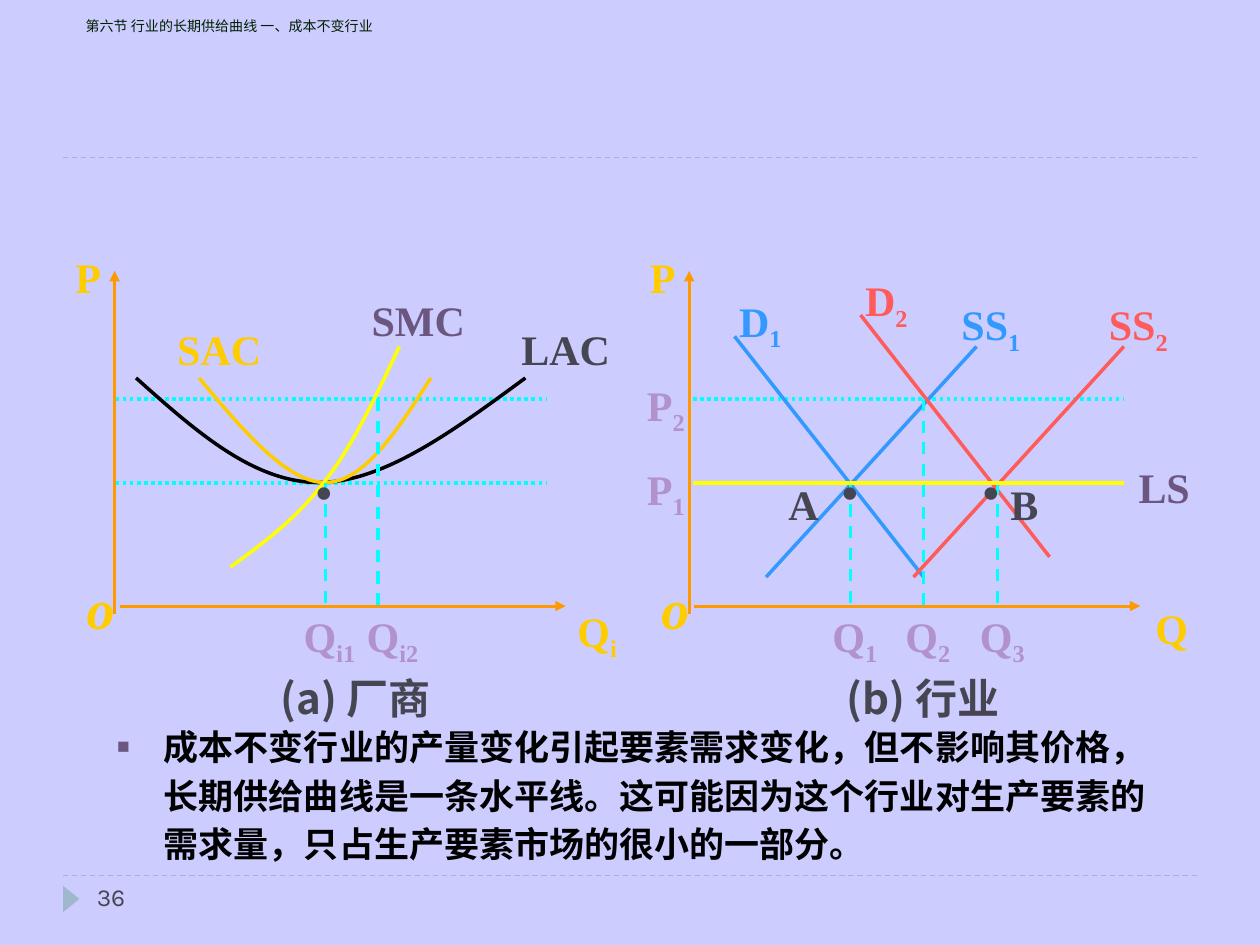
from dataclasses import dataclass

from lxml.etree import SubElement
from pptx import Presentation
from pptx.dml.color import RGBColor
from pptx.enum.dml import MSO_LINE
from pptx.enum.shapes import MSO_CONNECTOR, MSO_SHAPE
from pptx.enum.text import MSO_ANCHOR, MSO_AUTO_SIZE, PP_ALIGN
from pptx.oxml.ns import qn
from pptx.util import Inches, Pt


@dataclass(frozen=True)
class Theme:
    background: str = "CCCCFF"
    rule: str = "9FB8CD"
    title: str = "001E00"
    black: str = "000000"
    dark: str = "464653"
    plum: str = "6B5680"
    lilac: str = "B292CA"
    gold: str = "FFCC00"
    yellow: str = "FFFF00"
    orange: str = "FF9900"
    cyan: str = "00FFFF"
    blue: str = "3399FF"
    red: str = "FF5B5B"
    serif: str = "Times New Roman"
    sans: str = "Karla"
    chinese: str = "Noto Sans CJK SC"
    caption: str = "Noto Sans CJK KR"
    title_size: int = 8
    number_size: int = 14
    body_size: int = 20
    label_size: int = 24
    origin_size: int = 32
    dot_size: int = 44


THEME = Theme()
LABEL_INSETS = (0.28, 0, 0.04, 0.17)
PLAIN_INSETS = (0.1, 0.05, 0.1, 0.05)
LOW_PRICE, HIGH_PRICE, BASE = 23 / 6, 19 / 6, 29 / 6


def write(box, text, size=THEME.label_size, color=THEME.dark, font=THEME.serif,
          asian=None, bold=True, italic=False, align=PP_ALIGN.LEFT, spacing=1.0,
          insets=PLAIN_INSETS, anchor=MSO_ANCHOR.TOP, wrap=True):
    """Fill a box with one paragraph; what follows an underscore is a subscript."""
    frame = box.text_frame
    frame.auto_size = MSO_AUTO_SIZE.NONE
    frame.word_wrap = wrap
    frame.vertical_anchor = anchor
    (frame.margin_left, frame.margin_top,
     frame.margin_right, frame.margin_bottom) = map(Inches, insets)
    para = frame.paragraphs[0]
    para.alignment = align
    para.line_spacing = spacing
    para.space_before = Pt(0)
    for index, part in enumerate(text.split("_")):
        span = para.add_run()
        span.text = part
        span.font.size = Pt(size)
        span.font.bold = bold
        span.font.italic = italic
        span.font.name = font
        span.font.color.rgb = RGBColor.from_string(color)
        properties = span._r.get_or_add_rPr()
        SubElement(properties, qn("a:ea")).set("typeface", asian or font)
        if index:
            properties.set("baseline", "-25000")
    return para


def place(shape, left, top, width, height):
    shape.left, shape.top = Inches(left), Inches(top)
    shape.width, shape.height = Inches(width), Inches(height)


def add_text(slide, text, left, top, width, height, **style):
    box = slide.shapes.add_textbox(*map(Inches, (left, top, width, height)))
    write(box, text, **style)


def add_label(slide, text, left, top, width=1.33, height=0.81, **style):
    add_text(slide, text, left, top, width, height, align=PP_ALIGN.CENTER,
             spacing=1.4, insets=LABEL_INSETS, **style)


def add_line(slide, start, end, color, width=2, dash=None, arrow=False):
    line = slide.shapes.add_connector(MSO_CONNECTOR.STRAIGHT,
                                      *map(Inches, (*start, *end)))
    line.line.color.rgb = RGBColor.from_string(color)
    line.line.width = Pt(width)
    if dash:
        line.line.dash_style = dash
    if arrow:
        SubElement(line.line._get_or_add_ln(), qn("a:tailEnd")).set("type", "triangle")
    SubElement(line._element.spPr, qn("a:effectLst"))


def add_curve(slide, color, *knots):
    """Draw joined cubic curves; each takes three knots after the shared one."""
    points = [(Inches(x), Inches(y)) for x, y in knots]
    builder = slide.shapes.build_freeform(*points[0])
    builder.add_line_segments(points[1:], close=False)
    curve = builder.convert_to_shape()
    outline = next(curve._element.iter(qn("a:path")))
    segments = outline.findall(qn("a:lnTo"))
    for first in range(0, len(segments), 3):
        cubic = SubElement(outline, qn("a:cubicBezTo"))
        for segment in segments[first:first + 3]:
            cubic.append(segment[0])
            outline.remove(segment)
    curve.fill.background()
    curve.line.color.rgb = RGBColor.from_string(color)
    curve.line.width = Pt(2)
    curve.shadow.inherit = False


def add_axes(slide, left, length, quantity, quantity_left):
    add_line(slide, (left + 0.04, 4.81), (left + 0.04 + length, 4.81),
             THEME.orange, 1.75, arrow=True)
    add_line(slide, (left, 4.87), (left, 2.15), THEME.orange, 1.75, arrow=True)
    add_label(slide, "o", left - 0.5, 4.34, 0.54, 0.92, size=THEME.origin_size,
              color=THEME.gold, italic=True, wrap=False)
    add_label(slide, "P", left - 0.59, 1.84, 0.52, 0.73, color=THEME.gold, wrap=False)
    add_label(slide, quantity, quantity_left, 4.62, 0.6, color=THEME.gold, wrap=False)


def add_price_lines(slide, left, right):
    for price in (LOW_PRICE, HIGH_PRICE):
        add_line(slide, (left, price), (right, price), THEME.cyan,
                 dash=MSO_LINE.ROUND_DOT)


def add_quantity(slide, text, x, price, label_left):
    add_line(slide, (x, price), (x, BASE), THEME.cyan, 1.75, MSO_LINE.DASH)
    add_label(slide, text, label_left, 4.66, color=THEME.lilac)


def add_dot(slide, left):
    add_label(slide, "·", left, 3.22, 0.47, 1.2, size=THEME.dot_size)


def add_caption(slide, text, left):
    add_label(slide, text, left, 5.18, 2.75, 0.73, font=THEME.caption)


def add_frame(slide):
    """Rules, page marker and page number."""
    for y in (1.25, 6.95):
        add_line(slide, (0.5, y), (9.5, y), THEME.rule, 0.75, MSO_LINE.DASH)
    marker = slide.shapes.add_shape(MSO_SHAPE.ISOSCELES_TRIANGLE,
                                    *map(Inches, (0.46, 7.07, 0.21, 0.13)))
    marker.rotation = 90
    marker.fill.solid()
    marker.fill.fore_color.rgb = RGBColor.from_string(THEME.rule)
    marker.line.fill.background()
    marker.shadow.inherit = False
    add_text(slide, "36", 0.67, 6.95, 2.17, 0.4, size=THEME.number_size,
             font=THEME.sans, bold=False)


def fill_placeholders(slide):
    title, body = slide.shapes.title, slide.placeholders[1]
    place(title, 0.58, 0.08, 8.83, 0.25)
    write(title, "第六节 行业的长期供给曲线 一、成本不变行业", size=THEME.title_size,
          color=THEME.title, font=THEME.chinese, bold=False, anchor=MSO_ANCHOR.MIDDLE)
    place(body, 0.83, 5.66, 8.58, 1.42)
    para = write(body, "成本不变行业的产量变化引起要素需求变化，但不影响其价格，"
                 "长期供给曲线是一条水平线。这可能因为这个行业对生产要素的需求量，"
                 "只占生产要素市场的很小的一部分。", size=THEME.body_size,
                 color=THEME.black, font=THEME.sans, asian=THEME.chinese, spacing=1.15)
    properties = para._p.get_or_add_pPr()
    properties.set("marL", str(Inches(0.37)))
    properties.set("indent", str(-Inches(0.37)))
    bullet_color = SubElement(properties, qn("a:buClr"))
    SubElement(bullet_color, qn("a:srgbClr")).set("val", THEME.plum)
    SubElement(properties, qn("a:buSzPct")).set("val", "60000")
    SubElement(properties, qn("a:buChar")).set("char", "■")


def add_firm(slide):
    add_axes(slide, 0.91, 3.54, "Q_i", 4.32)
    add_price_lines(slide, 0.92, 4.34)
    add_curve(slide, THEME.black, (1.08, 3), (1.55, 3.42), (2.01, 3.83), (2.53, 3.83),
              (3.04, 3.83), (3.6, 3.42), (4.17, 3))
    add_curve(slide, THEME.gold, (1.58, 3), (1.93, 3.42), (2.28, 3.83), (2.58, 3.83),
              (2.89, 3.83), (3.15, 3.42), (3.42, 3))
    add_curve(slide, THEME.yellow, (1.83, 4.5), (2.09, 4.31), (2.35, 4.12), (2.57, 3.83),
              (2.8, 3.54), (2.98, 3.15), (3.17, 2.75))
    for text, left, top, color in (("LAC", 3.83, 2.41, THEME.dark),
                                   ("SAC", 1.08, 2.41, THEME.gold),
                                   ("SMC", 2.66, 2.18, THEME.plum)):
        add_label(slide, text, left, top, 1.08, 0.73, color=color)
    add_quantity(slide, "Q_i1", 2.58, LOW_PRICE, 1.83)
    add_quantity(slide, "Q_i2", 3, HIGH_PRICE, 2.33)
    add_dot(slide, 2.19)
    add_caption(slide, "(a) 厂商", 1.33)


def add_industry(slide):
    add_axes(slide, 5.47, 3.54, "Q", 8.88)
    add_price_lines(slide, 5.5, 8.92)
    for text, start, end, color, left, top in (
            ("D_1", (5.83, 2.67), (7.33, 4.58), THEME.blue, 5.25, 2.16),
            ("SS_1", (6.08, 4.58), (7.75, 2.75), THEME.blue, 7.08, 2.19),
            ("D_2", (6.83, 2.5), (8.33, 4.42), THEME.red, 6.25, 2),
            ("SS_2", (7.25, 4.58), (8.92, 2.75), THEME.red, 8.25, 2.19)):
        add_line(slide, start, end, color)
        add_label(slide, text, left, top, color=color)
    for text, price in (("P_1", LOW_PRICE), ("P_2", HIGH_PRICE)):
        add_label(slide, text, 4.5, price - 0.34, color=THEME.lilac)
    for text, x, price in (("Q_1", 6.75, LOW_PRICE), ("Q_2", 7.33, HIGH_PRICE),
                           ("Q_3", 7.92, LOW_PRICE)):
        add_quantity(slide, text, x, price, x - 0.75)
    for text, left, dot_left in (("A", 6.16, 6.37), ("B", 7.92, 7.49)):
        add_text(slide, text, left, 3.75, 0.43, 0.5, wrap=False)
        add_dot(slide, dot_left)
    add_line(slide, (5.5, LOW_PRICE), (8.92, LOW_PRICE), THEME.yellow)
    add_label(slide, "LS", 8.58, 3.5, 1.08, 0.73, color=THEME.plum)
    add_caption(slide, "(b) 行业", 5.83)


def main():
    deck = Presentation()
    deck.slide_width, deck.slide_height = Inches(10), Inches(7.5)
    page = deck.slides.add_slide(deck.slide_layouts[1])
    page.background.fill.solid()
    page.background.fill.fore_color.rgb = RGBColor.from_string(THEME.background)
    fill_placeholders(page)
    add_frame(page)
    add_firm(page)
    add_industry(page)
    deck.save("out.pptx")


if __name__ == "__main__":
    main()
